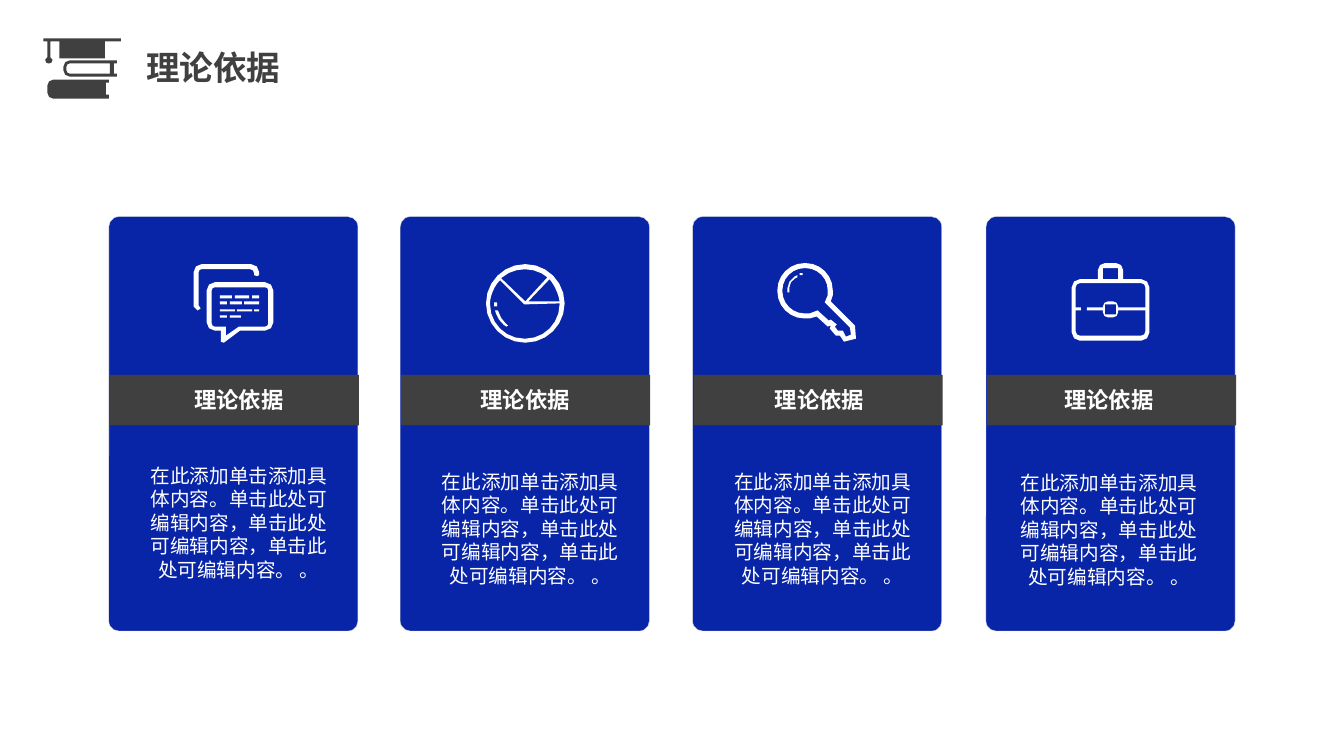
"""Build a slide with four icon cards on the theoretical basis."""
from lxml.etree import SubElement
from math import dist
from pptx import Presentation
from pptx.dml.color import RGBColor
from pptx.enum.shapes import MSO_SHAPE
from pptx.enum.text import MSO_AUTO_SIZE, PP_ALIGN
from pptx.oxml.ns import qn
from pptx.util import Inches, Pt

TITLE = "理论依据"
BODY = "在此添加单击添加具体内容。单击此处可编辑内容，单击此处可编辑内容，单击此处可编辑内容。 。"

BOOKS = {
    "boxes": [],
    "loops": [
        [(0.47, 0.79, 0.06), (1.08, 0.79), (1.08, 0.82), (1.05, 0.82),
         (1.05, 0.94), (1.08, 0.94), (1.08, 0.98), (0.47, 0.98, 0.06)],
        [(0.63, 0.6, 0.06), (1.16, 0.6), (1.16, 0.63), (1.13, 0.63),
         (1.13, 0.73), (1.16, 0.73), (1.16, 0.76), (0.63, 0.76, 0.06)],
        [(0.66, 0.63, 0.03), (1.09, 0.63), (1.09, 0.73), (0.66, 0.73, 0.03)],
        [(0.43, 0.38), (1.2, 0.38), (1.2, 0.41), (1.04, 0.41), (1.04, 0.58),
         (0.59, 0.58), (0.59, 0.41), (0.5, 0.41), (0.5, 0.57), (0.52, 0.59),
         (0.52, 0.63, 0.03), (0.45, 0.63, 0.03), (0.45, 0.59), (0.47, 0.57),
         (0.47, 0.41), (0.43, 0.41)],
    ],
}
CHAT = {
    "boxes": [
        (2.18, 2.93, 2.3, 2.96), (2.33, 2.93, 2.47, 2.96), (2.5, 2.93, 2.57, 2.96),
        (2.18, 2.99, 2.25, 3.02), (2.28, 2.99, 2.4, 3.02), (2.42, 2.99, 2.57, 3.02),
        (2.18, 3.07, 2.33, 3.09), (2.35, 3.07, 2.5, 3.09), (2.52, 3.07, 2.57, 3.09),
        (2.18, 3.13, 2.25, 3.15), (2.28, 3.13, 2.39, 3.15),
    ],
    "loops": [
        [(2.1, 2.85, 0.03), (2.66, 2.85, 0.03), (2.66, 3.24, 0.03), (2.37, 3.24),
         (2.24, 3.33), (2.24, 3.24), (2.1, 3.24, 0.03)],
        [(2.05, 2.8, 0.08), (2.71, 2.8, 0.08), (2.71, 3.28, 0.08), (2.38, 3.28),
         (2.22, 3.4), (2.19, 3.39), (2.19, 3.28), (2.05, 3.28, 0.08)],
        [(1.92, 2.62, 0.08), (2.57, 2.62, 0.08), (2.57, 2.73), (2.55, 2.74),
         (2.52, 2.73), (2.52, 2.67, 0.04), (1.97, 2.67, 0.03), (1.97, 3.03),
         (1.99, 3.06), (1.96, 3.08), (1.92, 3.04)],
    ],
}
PIE = {
    "boxes": [(4.9, 3, 4.93, 3.04)],
    "loops": [
        [(4.82, 2.62, 0.39), (5.6, 2.62, 0.39), (5.6, 3.4, 0.39), (4.82, 3.4, 0.39)],
        [(4.96, 2.78), (4.86, 2.88, 0.13), (4.86, 3.36, 0.34), (5.55, 3.36, 0.34),
         (5.55, 3.01), (5.2, 3.02)],
        [(5.45, 2.77), (5.53, 2.86, 0.12), (5.55, 2.99), (5.24, 2.99)],
        [(4.97, 2.76), (5.21, 2.55, 0.31), (5.43, 2.75), (5.21, 2.99)],
        [(4.91, 3.08), (4.94, 3.08), (4.96, 3.16, 0.07), (5.04, 3.23),
         (5.02, 3.24), (4.94, 3.18, 0.07)],
    ],
}
KEY = {
    "boxes": [(7.93, 2.71, 7.96, 2.73)],
    "loops": [
        [(7.71, 2.61, 0.27), (8.26, 2.61, 0.27), (8.26, 2.93), (8.24, 2.99),
         (8.48, 3.23), (8.49, 3.36), (8.37, 3.39), (8.33, 3.33), (8.29, 3.33),
         (8.23, 3.26), (8.24, 3.23), (8.21, 3.24), (8.1, 3.14), (8.03, 3.16),
         (7.71, 3.16, 0.27)],
        [(7.76, 2.66, 0.22), (8.21, 2.66, 0.22), (8.21, 2.93), (8.18, 3),
         (8.43, 3.25), (8.44, 3.32), (8.39, 3.34), (8.36, 3.28), (8.31, 3.28),
         (8.28, 3.24), (8.3, 3.22), (8.24, 3.17), (8.22, 3.18), (8.11, 3.08),
         (8.03, 3.11), (7.76, 3.11, 0.22)],
        [(7.81, 2.9), (7.81, 2.78, 0.08), (7.91, 2.73), (7.91, 2.75),
         (7.83, 2.79, 0.06), (7.83, 2.9)],
    ],
}
CASE = {
    "boxes": [(10.96, 3.02, 11.07, 3.12)],
    "loops": [
        [(10.63, 2.77, 0.08), (10.89, 2.77), (10.89, 2.61, 0.07), (11.14, 2.61, 0.07),
         (11.14, 2.77), (11.4, 2.77, 0.08), (11.4, 3.38, 0.08), (10.63, 3.38, 0.08)],
        [(10.94, 2.66), (11.09, 2.66), (11.09, 2.77), (10.94, 2.77)],
        [(10.67, 2.81, 0.04), (11.36, 2.81, 0.04), (11.36, 3.05), (11.09, 3.05),
         (11.09, 2.99, 0.05), (10.94, 2.99, 0.05), (10.94, 3.05), (10.78, 3.05),
         (10.78, 3.08), (10.94, 3.08), (10.94, 3.15, 0.05), (11.09, 3.15, 0.05),
         (11.09, 3.08), (11.36, 3.08), (11.36, 3.33, 0.04), (10.67, 3.33, 0.04),
         (10.67, 3.08), (10.72, 3.08), (10.72, 3.05), (10.67, 3.05)],
    ],
}

CARDS = [
    {"left": 1.08, "icon": CHAT, "label": 1.49, "body": (1.42, 4.6)},
    {"left": 3.97, "icon": PIE, "label": 4.33, "body": (4.31, 4.66)},
    {"left": 6.87, "icon": KEY, "label": 7.25, "body": (7.21, 4.66)},
    {"left": 9.78, "icon": CASE, "label": 10.12, "body": (10.05, 4.67)},
]

THEME = {
    "font": "Noto Sans CJK SC",
    "blue": RGBColor(0x08, 0x24, 0xA7),
    "dark": RGBColor(0x40, 0x40, 0x40),
    "white": RGBColor(0xFF, 0xFF, 0xFF),
    "edge": RGBColor(0xD9, 0xD9, 0xD9),
    "title": 24,
    "label": 16,
    "body": 14,
}


def paint(shape, color):
    shape.shadow.inherit = False
    shape.fill.solid()
    shape.fill.fore_color.rgb = THEME[color]
    shape.line.fill.background()


def add_box(slide, kind, area, color):
    shape = slide.shapes.add_shape(kind, *map(Inches, area))
    paint(shape, color)
    return shape


def shift(start, end, step):
    part = step / dist(start, end)
    return tuple(a + (b - a) * part for a, b in zip(start, end))


def bend(before, corner, after, size):
    pull = size * 0.45
    knots = [shift(corner, before, size), shift(corner, before, pull),
             shift(corner, after, pull), shift(corner, after, size)]
    count = 2 if size < 0.1 else 6
    for step in range(count + 1):
        t = step / count
        u = 1 - t
        mix = u ** 3, 3 * u * u * t, 3 * u * t * t, t ** 3
        yield tuple(sum(m * k[axis] for m, k in zip(mix, knots)) for axis in (0, 1))


def trace(loop):
    points = []
    for i, (x, y, *size) in enumerate(loop):
        before, after = loop[i - 1][:2], loop[(i + 1) % len(loop)][:2]
        points += bend(before, (x, y), after, size[0]) if size else [(x, y)]
    return [(Inches(x), Inches(y)) for x, y in points]


def add_icon(slide, icon, color):
    boxes = [[(l, t), (r, t), (r, b), (l, b)] for l, t, r, b in icon["boxes"]]
    first, *rest = map(trace, boxes + icon["loops"])
    pen = slide.shapes.build_freeform(*first[0])
    pen.add_line_segments(first[1:], close=True)
    for points in rest:
        pen.move_to(*points[0])
        pen.add_line_segments(points[1:], close=True)
    paint(pen.convert_to_shape(), color)


def add_text(slide, area, text, role, color, bold, align, inset):
    frame = slide.shapes.add_textbox(*map(Inches, area)).text_frame
    frame.word_wrap = True
    frame.auto_size = MSO_AUTO_SIZE.SHAPE_TO_FIT_TEXT
    frame.margin_left = frame.margin_right = Inches(inset)
    frame.margin_top = frame.margin_bottom = Inches(inset / 2)
    para = frame.paragraphs[0]
    para.text = text
    para.alignment = align
    para.line_spacing = Pt(THEME[role] * 1.2)
    font = para.font
    font.name = THEME["font"]
    font.size = Pt(THEME[role])
    font.bold = bold
    font.color.rgb = THEME[color]
    props = para._p.pPr.find(qn("a:defRPr"))
    SubElement(props, qn("a:ea")).set("typeface", THEME["font"])


def add_card(slide, card):
    left = card["left"]
    panel = add_box(slide, MSO_SHAPE.ROUNDED_RECTANGLE, (left, 2.15, 2.47, 4.11), "blue")
    panel.adjustments[0] = 0.04
    panel.line.color.rgb = THEME["edge"]
    panel.line.width = Pt(0.25)
    add_box(slide, MSO_SHAPE.RECTANGLE, (left + 0.01, 3.72, 2.47, 0.5), "dark")
    add_icon(slide, card["icon"], "white")
    center = PP_ALIGN.CENTER
    add_text(slide, (card["label"], 3.83, 1.76, 0.27), TITLE, "label", "white", True, center, 0)
    add_text(slide, (*card["body"], 1.9, 1.18), BODY, "body", "white", False, center, 0)


def main():
    deck = Presentation()
    deck.slide_width, deck.slide_height = Inches(13.33), Inches(7.5)
    slide = deck.slides.add_slide(deck.slide_layouts[6])
    add_icon(slide, BOOKS, "dark")
    add_text(slide, (1.35, 0.42, 2.48, 0.5), TITLE, "title", "dark", True, PP_ALIGN.LEFT, 0.1)
    for card in CARDS:
        add_card(slide, card)
    deck.save("out.pptx")


if __name__ == "__main__":
    main()
